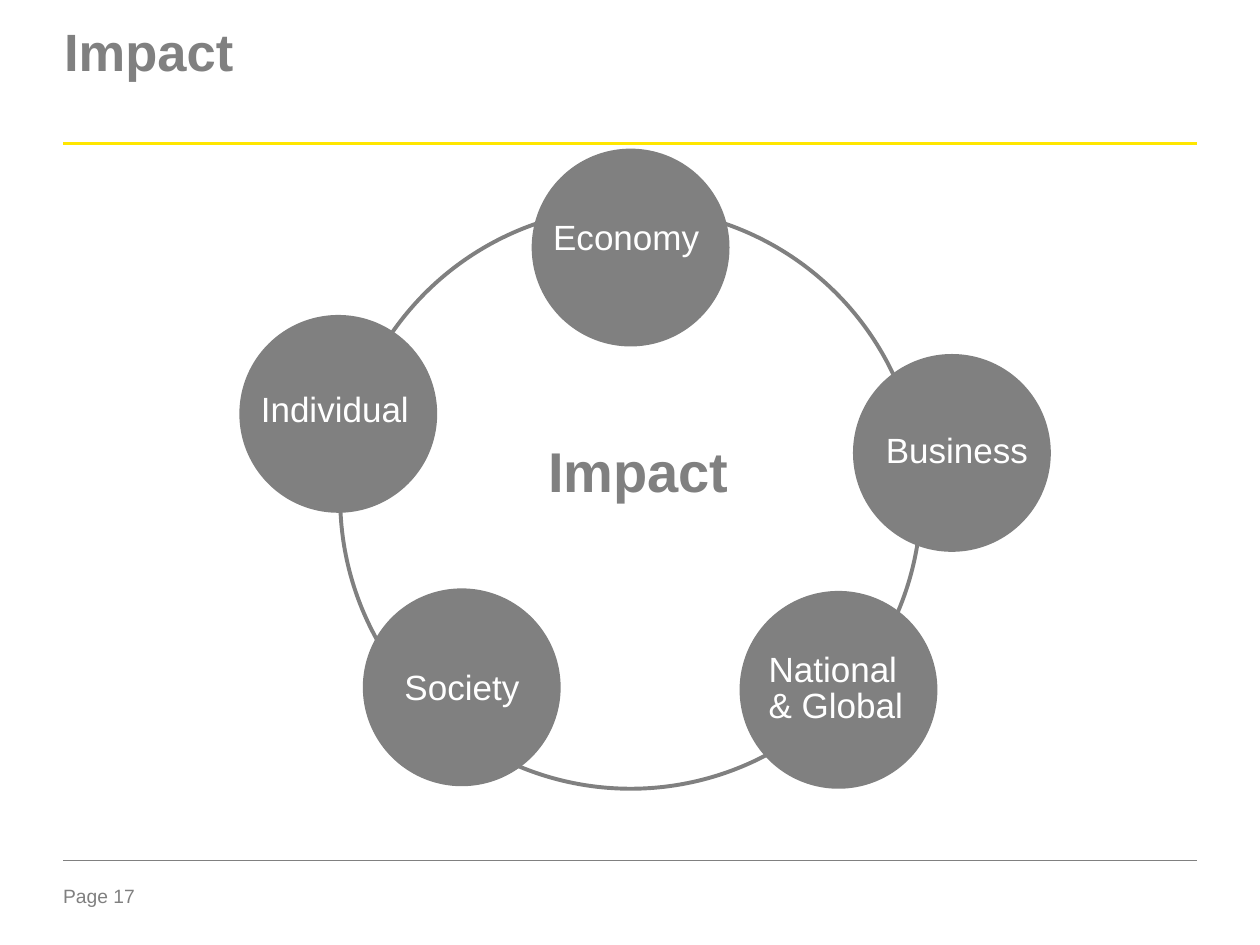
from collections import namedtuple

from lxml.etree import SubElement
from pptx import Presentation
from pptx.dml.color import RGBColor
from pptx.enum.shapes import MSO_CONNECTOR, MSO_SHAPE
from pptx.enum.text import MSO_ANCHOR, MSO_AUTO_SIZE
from pptx.oxml.ns import qn
from pptx.util import Inches, Pt

GREY, YELLOW, WHITE = "808080", "FFE600", "FFFFFF"
NODE_SIZE = 1.57
RING_SIZE = 4.61

Box = namedtuple("Box", "left top width height")
Node = namedtuple("Node", "label left top text_left text_top text_width text_height")

NODES = [
    Node("Society", 0.98, 3.49, 0.33, 0.62, 1.11, 0.33),
    Node("National & Global", 3.97, 3.51, 0.23, 0.46, 1.23, 0.61),
    Node("Business", 4.87, 1.63, 0.26, 0.6, 1.31, 0.33),
    Node("Economy", 2.32, 0, 0.17, 0.54, 1.36, 0.33),
    Node("Individual", 0, 1.32, 0.17, 0.59, 1.55, 0.33),
]


def color(value):
    """Turn a hex string into a colour."""
    return RGBColor.from_string(value)


def inside(box, left, top, width, height):
    """Return a box placed relative to another box."""
    return Box(box.left + left, box.top + top, width, height)


def add_text(page, box, text, size, shade, bold=False, inset=0, spacing=None, after=0):
    """Place one paragraph of text in a box."""
    shape = page.shapes.add_textbox(*map(Inches, box))
    frame = shape.text_frame
    frame.word_wrap = True
    frame.auto_size = MSO_AUTO_SIZE.NONE
    frame.vertical_anchor = MSO_ANCHOR.TOP
    frame.margin_left = frame.margin_right = frame.margin_bottom = 0
    frame.margin_top = Inches(inset)
    para = frame.paragraphs[0]
    para.space_after = Pt(after)
    if spacing:
        para.line_spacing = spacing
    span = para.add_run()
    span.text = text
    span.font.name = "Arial"
    span.font.size = Pt(size)
    span.font.bold = bold
    span.font.color.rgb = color(shade)


def add_label(page, box, text, size, shade, bold=False):
    """Place a label of the cycle."""
    add_text(page, box, text, size, shade, bold, inset=0.04, spacing=0.85, after=6)


def add_rule(page, left, top, width, shade, weight):
    """Draw a horizontal rule."""
    start, end, level = Inches(left), Inches(left + width), Inches(top)
    rule = page.shapes.add_connector(MSO_CONNECTOR.STRAIGHT, start, level, end, level)
    rule.line.color.rgb = color(shade)
    rule.line.width = Pt(weight)
    SubElement(rule._element.spPr, qn("a:effectLst"))


def add_circle(page, box, fill=None, outline=None):
    """Draw a filled disc or an outlined ring."""
    circle = page.shapes.add_shape(MSO_SHAPE.OVAL, *map(Inches, box))
    circle.shadow.inherit = False
    if fill:
        circle.fill.solid()
        circle.fill.fore_color.rgb = color(fill)
    else:
        circle.fill.background()
    if outline:
        circle.line.color.rgb = color(outline)
        circle.line.width = Pt(2.25)
    else:
        circle.line.fill.background()


def add_header(page, box):
    """Place the title above its yellow rule."""
    title = inside(box, 0.01, 0, box.width, 0.9)
    add_text(page, title, "Impact", 30, GREY, bold=True, spacing=0.85)
    add_rule(page, box.left, box.top + box.height, box.width, YELLOW, 1.5)


def add_cycle(page, box):
    """Draw the ring, its five nodes and the centre label."""
    ring_top = box.height - RING_SIZE
    add_circle(page, inside(box, 0.8, ring_top, RING_SIZE, RING_SIZE), outline=GREY)
    for node in NODES:
        disc = inside(box, node.left, node.top, NODE_SIZE, NODE_SIZE)
        add_circle(page, disc, fill=GREY)
        label = inside(disc, node.text_left, node.text_top, node.text_width, node.text_height)
        add_label(page, label, node.label, 20, WHITE)
    add_label(page, inside(box, 2.45, 2.33, 1.64, 0.5), "Impact", 32, GREY, bold=True)


def add_footer(page, box):
    """Place the page number below a thin rule."""
    add_rule(page, box.left, box.top, box.width, GREY, 0.25)
    add_text(page, inside(box, 0, 0.19, 0.79, 0.22), "Page 17", 11, GREY)


def main():
    """Build and save the deck."""
    deck = Presentation()
    deck.slide_width, deck.slide_height = Inches(10), Inches(7.5)
    page = deck.slides.add_slide(deck.slide_layouts[6])
    add_header(page, Box(0.5, 0.23, 9, 0.91))
    add_cycle(page, Box(1.9, 1.18, 6.44, 5.08))
    add_footer(page, Box(0.5, 6.83, 9, 0.41))
    deck.save("out.pptx")


if __name__ == "__main__":
    main()
